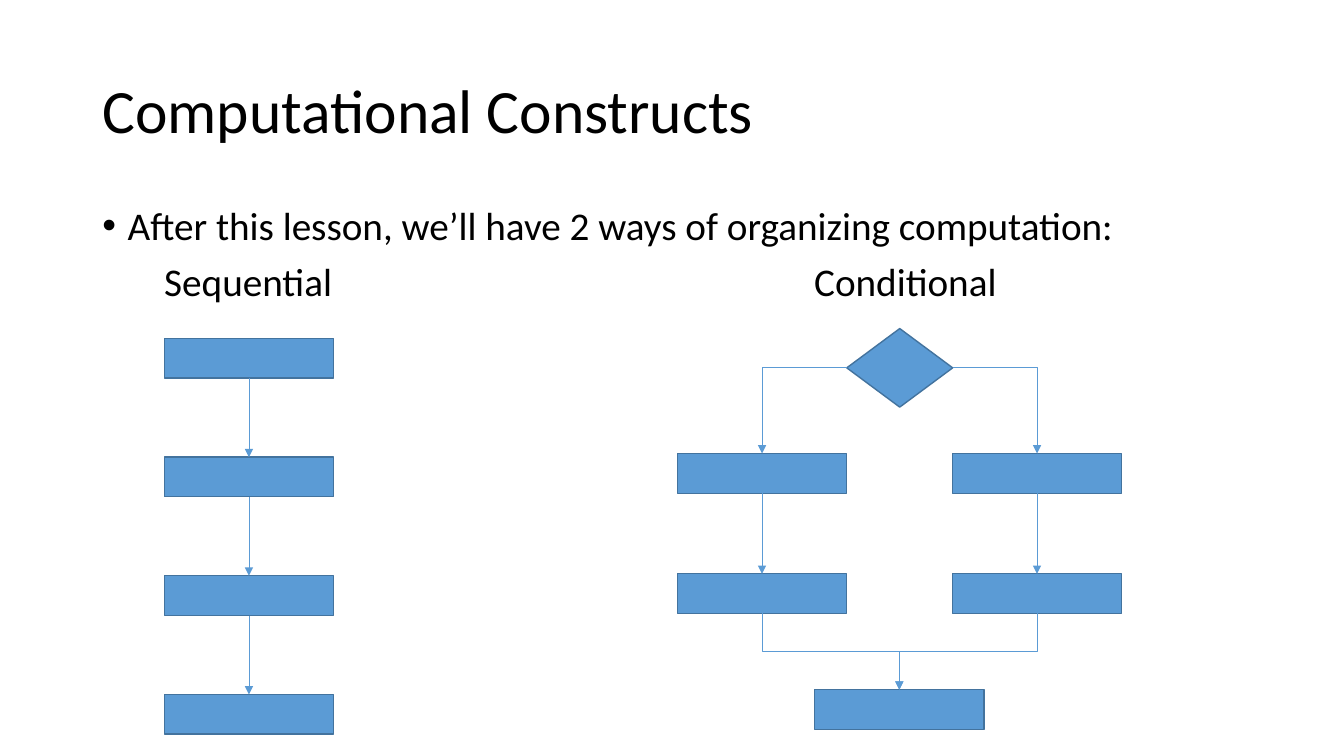
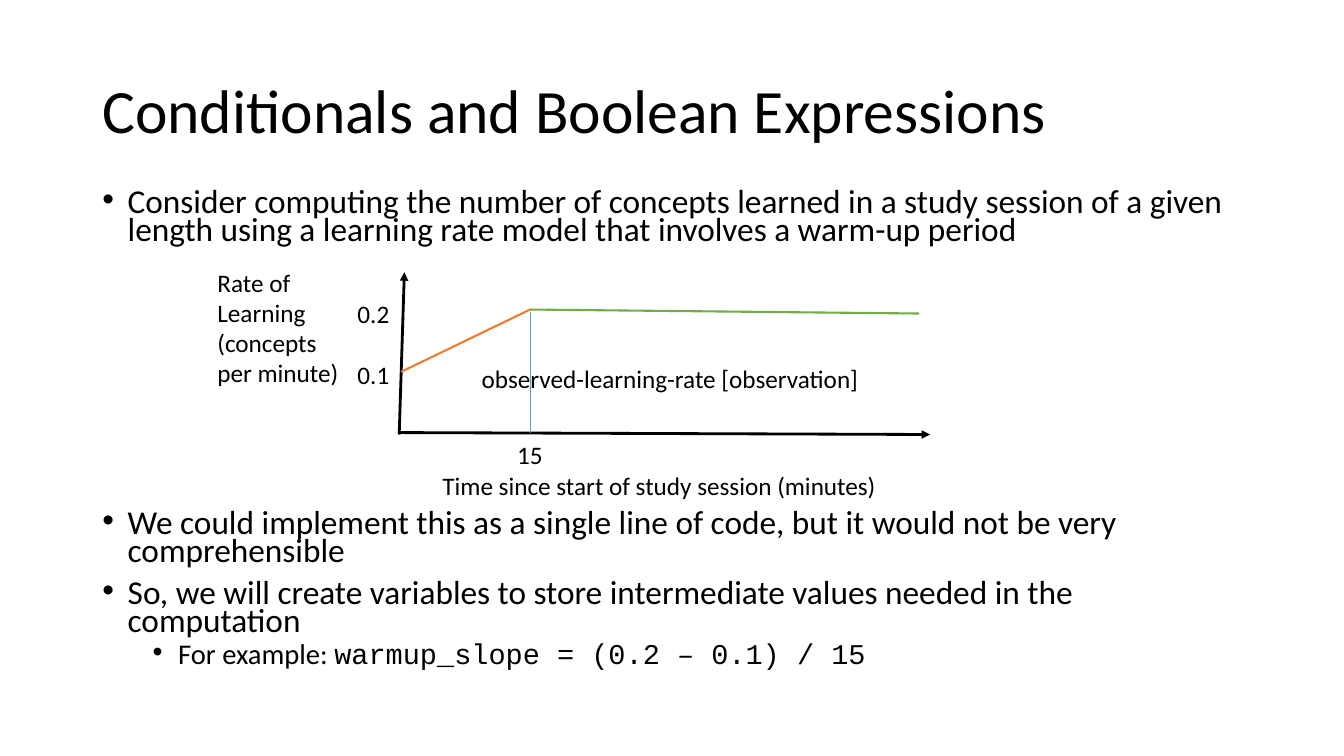
"""Build two slides on computational constructs and conditionals."""
from lxml.etree import SubElement
from pptx import Presentation
from pptx.dml.color import RGBColor
from pptx.enum.shapes import MSO_CONNECTOR as LINK, MSO_SHAPE as SHAPE
from pptx.enum.text import MSO_ANCHOR as ANCHOR
from pptx.oxml.ns import qn
from pptx.util import Cm, Pt

FONT, CODE = "Calibri", "Courier New"
BLACK, BLUE, EDGE = "000000", "5B9BD5", "43739E"
GREEN, ORANGE = "70AD47", "ED7D31"
LEFT, WIDE = 2.33, 29.21

INTRO = [(0, [("After this lesson, we’ll have 2 ways of organizing computation:", FONT)])]
HEADS = [("Sequential", 3.89), ("Conditional", 20.27)]

GOAL = [(0, [("Consider computing the number of concepts learned in a study session "
              "of a given length using a learning rate model that involves "
              "a warm-up period", FONT)])]
PLAN = [
    (0, [("We could implement this as a single line of code, but it would not be "
          "very comprehensible", FONT)]),
    (0, [("So, we will create variables to store intermediate values needed in "
          "the computation", FONT)]),
    (1, [("For example: ", FONT), ("warmup_slope = (0.2 – 0.1) / 15", CODE)]),
]
LABELS = [
    ("Time since start of study session (minutes)", 10.9, 11.73, 11.71),
    ("Rate of\nLearning\n(concepts\nper minute)", 5.23, 6.6, 3.61),
    ("15", 12.78, 10.95, 1.17),
    ("0.1", 8.76, 8.92, 1.32),
    ("0.2", 8.76, 7.39, 1.32),
    ("observed-learning-rate [observation]", 11.89, 9.02, 10.11),
]
PLOT = [
    ((10.03, 10.9), (23.44, 10.95), BLACK, 2, True),
    ((10.06, 10.95), (10.19, 6.86), BLACK, 2, True),
    ((13.36, 7.8), (23.16, 7.9), GREEN, 1.5, False),
    ((10.11, 9.37), (13.36, 7.8), ORANGE, 1.5, False),
    ((13.36, 7.85), (13.36, 10.9), BLUE, 0.5, False),
]

SEQ_X, SEQ_Y, SEQ_STEP = 4.14, 8.53, 2.99
ARMS, ROWS = (17.07, 24.0), (11.43, 14.46)
BOX_W, BOX_H = 4.27, 1.0


def rgb(code):
    """Turn a hex string into a colour."""
    return RGBColor.from_string(code)


def style(font, size, name=FONT):
    """Set the face, size and colour of a font."""
    font.name, font.size, font.color.rgb = name, Pt(size), rgb(BLACK)


def put(slide, text, x, y, w, h, size, space=1.0, wrap=True):
    """Add a plain text box."""
    frame = slide.shapes.add_textbox(Cm(x), Cm(y), Cm(w), Cm(h)).text_frame
    frame.word_wrap = wrap
    frame.text = text
    for para in frame.paragraphs:
        para.line_spacing = space
        for run in para.runs:
            style(run.font, size)
    return frame


def bullets(slide, items, y, h, sizes, space):
    """Add a box of bulleted paragraphs."""
    frame = put(slide, "", LEFT, y, WIDE, h, sizes[0])
    for i, (level, parts) in enumerate(items):
        para = frame.add_paragraph() if i else frame.paragraphs[0]
        props = para._p.get_or_add_pPr()
        props.set("marL", str(Cm(0.64 + 1.27 * level)))
        props.set("indent", str(-Cm(0.64)))
        SubElement(props, qn("a:buFont")).set("typeface", "Arial")
        SubElement(props, qn("a:buChar")).set("char", "•")
        para.level, para.line_spacing = level, space
        if i:
            para.space_before = Pt(5 if level else 10)
        for text, name in parts:
            run = para.add_run()
            run.text = text
            style(run.font, sizes[level], name)


def node(slide, x, y, w=BOX_W, h=BOX_H, kind=SHAPE.RECTANGLE):
    """Add one flowchart block."""
    shape = slide.shapes.add_shape(kind, Cm(x), Cm(y), Cm(w), Cm(h))
    shape.shadow.inherit = False
    shape.fill.solid()
    shape.fill.fore_color.rgb = rgb(BLUE)
    shape.line.color.rgb, shape.line.width = rgb(EDGE), Pt(1)
    return shape


def wire(slide, start, end, code=BLUE, width=0.5, arrow=True, kind=LINK.STRAIGHT):
    """Add a connector between two points."""
    line = slide.shapes.add_connector(kind, *map(int, start + end))
    line.line.color.rgb, line.line.width = rgb(code), Pt(width)
    if arrow:
        SubElement(line.line._get_or_add_ln(), qn("a:tailEnd")).set("type", "triangle")
    SubElement(line._element.spPr, qn("a:effectLst"))
    return line


def top(shape):
    """Give the middle of the top edge."""
    return shape.left + shape.width // 2, shape.top


def foot(shape):
    """Give the middle of the bottom edge."""
    return shape.left + shape.width // 2, shape.top + shape.height


def chain(slide, nodes):
    """Join each block to the next one down."""
    for a, b in zip(nodes, nodes[1:]):
        line = wire(slide, foot(a), top(b))
        line.begin_connect(a, 2)
        line.end_connect(b, 0)


def fork(slide, start, end):
    """Run sideways, then down to the end."""
    line = wire(slide, start, end, kind=LINK.ELBOW)
    line._element.spPr.find(qn("a:prstGeom")).set("prst", "bentConnector2")


def merge(slide, start, end):
    """Run down, sideways and down again, as a turned elbow."""
    (x1, y1), (x2, y2) = start, end
    mid_x, mid_y = (x1 + x2) / 2, (y1 + y2) / 2
    drop, half = (y2 - y1) / 2, abs(x2 - x1) / 2
    side = 1 if x1 > x2 else -1
    line = wire(slide, (mid_x - side * drop, mid_y - half),
                (mid_x + side * drop, mid_y + half), kind=LINK.ELBOW)
    turn = 90 if side > 0 else 270
    line._element.spPr.find(qn("a:xfrm")).set("rot", str(turn * 60000))


def page(deck, title):
    """Add a blank slide with a title."""
    slide = deck.slides.add_slide(deck.slide_layouts[6])
    frame = put(slide, title, LEFT, 1.01, WIDE, 3.68, 44, 0.9)
    frame.vertical_anchor = ANCHOR.MIDDLE
    return slide


def flows(deck):
    """Build the slide of two flowcharts."""
    slide = page(deck, "Computational Constructs")
    bullets(slide, INTRO, 5.08, 1.4, (28,), 0.9)
    for text, x in HEADS:
        put(slide, text, x, 6.5, 6, 1.4, 28, 0.9)
    chain(slide, [node(slide, SEQ_X, SEQ_Y + i * SEQ_STEP) for i in range(4)])

    test = node(slide, 21.34, 8.28, 2.67, 1.98, SHAPE.FLOWCHART_DECISION)
    last = node(slide, 20.53, 17.38)
    level = test.top + test.height // 2
    for x, edge in zip(ARMS, (test.left, test.left + test.width)):
        arm = [node(slide, x, y) for y in ROWS]
        chain(slide, arm)
        fork(slide, (edge, level), top(arm[0]))
        merge(slide, foot(arm[-1]), top(last))


def rates(deck):
    """Build the slide of the learning rate model."""
    slide = page(deck, "Conditionals and Boolean Expressions")
    bullets(slide, GOAL, 4.7, 1.8, (23.8,), 0.7)
    bullets(slide, PLAN, 12.78, 5.2, (23.8, 20.4), 0.7)
    for start, end, code, width, arrow in PLOT:
        wire(slide, tuple(map(Cm, start)), tuple(map(Cm, end)), code, width, arrow)
    for text, x, y, w in LABELS:
        rows = text.count("\n") + 1
        put(slide, text, x, y, w, 0.25 + 0.77 * rows, 18, wrap=False)


def main():
    """Make and save the deck."""
    deck = Presentation()
    deck.slide_width, deck.slide_height = Cm(33.87), Cm(19.05)
    flows(deck)
    rates(deck)
    deck.save("out.pptx")


if __name__ == "__main__":
    main()
